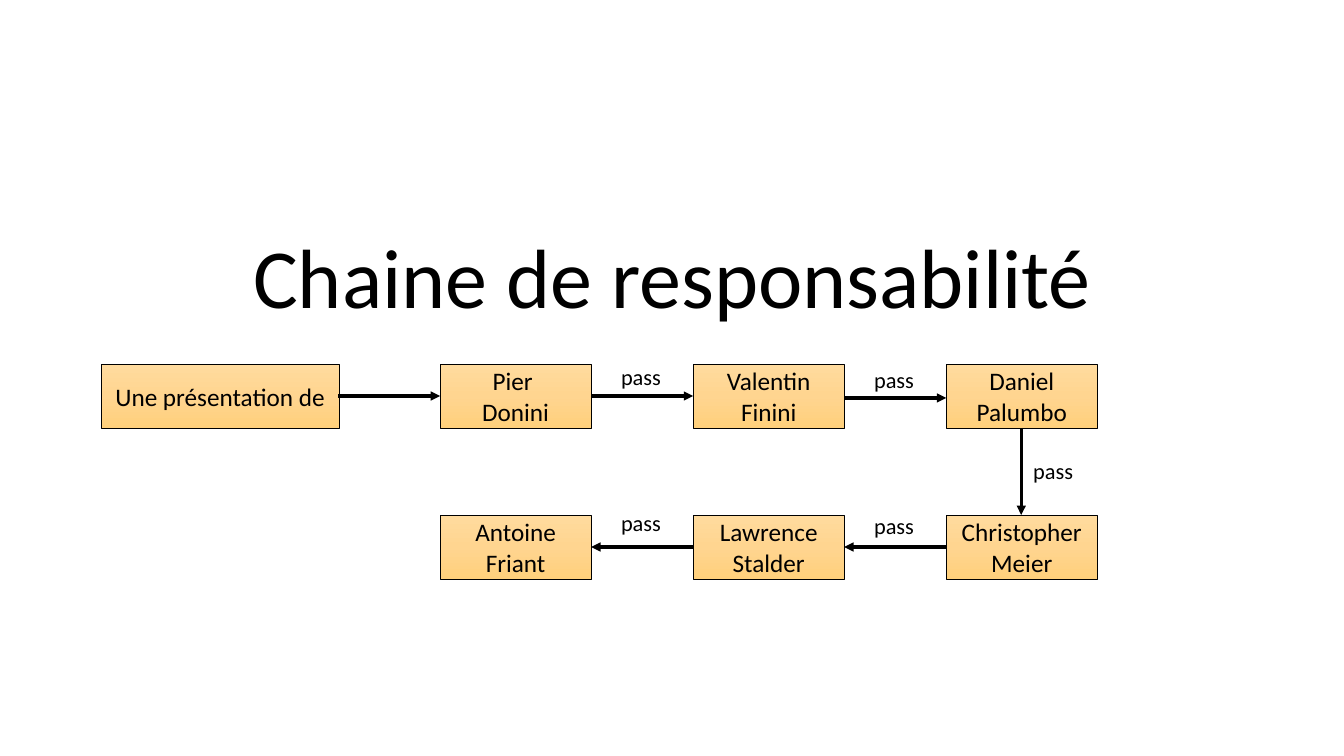
from copy import deepcopy

from lxml import etree
from pptx import Presentation
from pptx import util as u
from pptx.dml.color import RGBColor
from pptx.enum import shapes, text
from pptx.oxml.ns import qn

BLACK = RGBColor(0x00, 0x00, 0x00)
TOP = RGBColor(0xFF, 0xDB, 0x9E)
MID = RGBColor(0xFF, 0xD5, 0x90)
LOW = RGBColor(0xFF, 0xD0, 0x7C)


class Deck:
    """Holds the style and the current slide."""
    font = "Calibri"
    scale = 914400 / 100.8

    def __init__(self, wide, high):
        self.prs = Presentation()
        self.prs.slide_width = u.Inches(wide)
        self.prs.slide_height = u.Inches(high)
        self.slide = self.prs.slides.add_slide(self.prs.slide_layouts[6])

    def emu(self, *pixels):
        return [round(p * self.scale) for p in pixels]

    def letter(self, shape, words, size, align, anchor, wrap=True):
        frame = shape.text_frame
        frame.text = words
        frame.word_wrap = wrap
        frame.vertical_anchor = anchor
        for para in frame.paragraphs:
            para.alignment = align
            for run in para.runs:
                run.font.name = self.font
                run.font.size = u.Pt(size)
                run.font.color.rgb = BLACK
        return frame

    def title(self, words, *place):
        box = self.slide.shapes.add_textbox(*self.emu(*place))
        frame = self.letter(box, words, 60, text.PP_ALIGN.CENTER,
                            text.MSO_ANCHOR.BOTTOM)
        frame.paragraphs[0].line_spacing = 0.9

    def label(self, words, *place):
        box = self.slide.shapes.add_textbox(*self.emu(*place))
        self.letter(box, words, 16, text.PP_ALIGN.LEFT,
                    text.MSO_ANCHOR.TOP, wrap=False)

    def box(self, words, *place):
        box = self.slide.shapes.add_shape(
            shapes.MSO_SHAPE.RECTANGLE, *self.emu(*place))
        box.shadow.inherit = False
        box.line.color.rgb = BLACK
        box.line.width = u.Pt(0.5)
        self.shade(box)
        self.letter(box, words, 18, text.PP_ALIGN.CENTER,
                    text.MSO_ANCHOR.MIDDLE)

    def shade(self, box):
        box.fill.gradient()
        box.fill.gradient_angle = 270
        # A third stop goes between the two default ones
        stops = box._element.spPr.find(qn("a:gradFill")).find(qn("a:gsLst"))
        stops.insert(1, deepcopy(stops[0]))
        for stop, place, color in zip(box.fill.gradient_stops,
                                      (0, 0.5, 1), (TOP, MID, LOW)):
            stop.position = place
            stop.color.rgb = color

    def arrow(self, *ends):
        line = self.slide.shapes.add_connector(
            shapes.MSO_CONNECTOR.STRAIGHT, *self.emu(*ends))
        line.line.color.rgb = BLACK
        line.line.width = u.Pt(2.25)
        props = line._element.spPr
        etree.SubElement(props.find(qn("a:ln")), qn("a:tailEnd"),
                         type="triangle")
        etree.SubElement(props, qn("a:effectLst"))


deck = Deck(13.33, 7.5)
deck.title("Chaine de responsabilité", 168, 124, 1008, 208)

# Grid of the chain
WIDE, HIGH, GAP = 151, 64, 102
COLS = [440 + i * (WIDE + GAP) for i in range(3)]
ROWS = [364, 515]
NAMES = [["Pier \nDonini", "Valentin Finini", "Daniel Palumbo"],
         ["Antoine Friant", "Lawrence Stalder", "Christopher Meier"]]

# Boxes
deck.box("Une présentation de", 101, ROWS[0], 238, HIGH)
for top, names in zip(ROWS, NAMES):
    for left, name in zip(COLS, names):
        deck.box(name, left, top, WIDE, HIGH)

# Arrows and labels between neighbours: right above, left below
deck.arrow(COLS[0] - GAP, 396, COLS[0], 396)
for left, high, tag, base in zip(COLS, (396, 398), (358, 361), (504, 507)):
    start, end = left + WIDE, left + WIDE + GAP
    deck.arrow(start, high, end, high)
    deck.arrow(end, 547, start, 547)
    for top in (tag, base):
        deck.label("pass", start + 20, top, 60, 37)

# Step down to the second row
deck.arrow(1021, ROWS[0] + HIGH, 1021, ROWS[1])
deck.label("pass", 1023, 452, 60, 37)

deck.prs.save("out.pptx")
